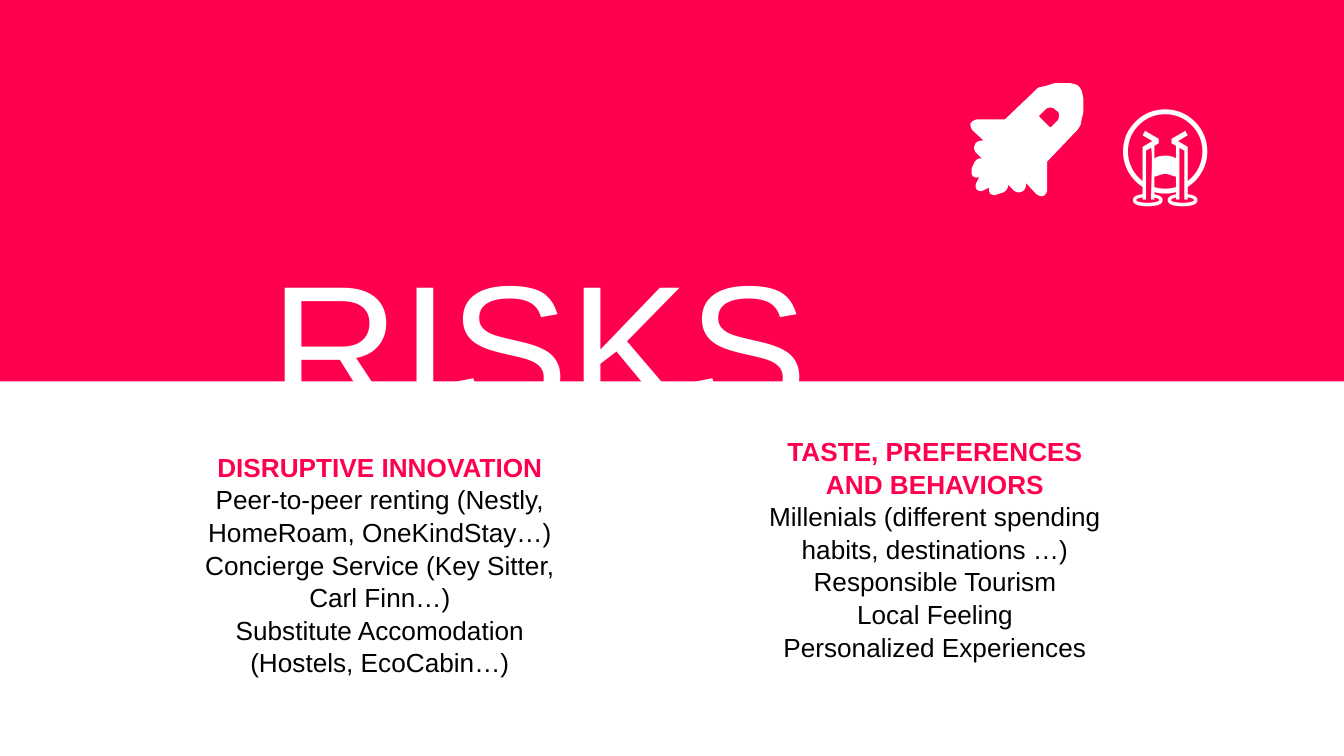
"""Build the RISKS slide: a red title band with icons above two text columns."""
from lxml.etree import SubElement
from pptx import Presentation
from pptx.dml.color import RGBColor
from pptx.enum.shapes import MSO_SHAPE
from pptx.enum.text import MSO_ANCHOR, MSO_AUTO_SIZE, PP_ALIGN
from pptx.oxml.ns import qn
from pptx.util import Cm, Pt

TITLE = "RISKS"
EMOJI = "😭"
COLUMNS = [
    {"box": (3.56, 8.38, 7.24, 5.05),
     "head": "DISRUPTIVE INNOVATION",
     "items": ["Peer-to-peer renting (Nestly, HomeRoam, OneKindStay…)",
               "Concierge Service (Key Sitter, Carl Finn…)",
               "Substitute Accomodation (Hostels, EcoCabin…)"]},
    {"box": (14.05, 8.08, 7.24, 5.64),
     "head": "TASTE, PREFERENCES AND BEHAVIORS",
     "items": ["Millenials (different spending habits, destinations …)",
               "Responsible Tourism", "Local Feeling",
               "Personalized Experiences"]},
]
THEME = {
    "red": RGBColor(0xFF, 0x00, 0x4E),
    "white": RGBColor(0xFF, 0xFF, 0xFF),
    "black": RGBColor(0x00, 0x00, 0x00),
    "title": Pt(96), "body": Pt(14), "emoji": Pt(54), "outline": Pt(4.5),
    "font": "Arial", "emoji_font": "Lato",
}
BOXES = {
    "band": (0, 0, 25.4, 7.21),
    "title": (0, 3.73, 20.4, 3.23),
    "emoji": (20.9, 1.47, 2.92, 2.57),
}

ROCKET_UNIT = Cm(2.54) / 100
HULL = [(776, 141), (776, 119), (797, 97), (799, 95), (801, 92), (802, 87),
        (803, 83), (803, 74), (802, 69), (801, 67), (800, 66), (796, 65),
        (785, 65), (779, 67), (774, 68), (771, 71), (749, 92), (727, 92),
        (725, 93), (726, 95), (737, 105), (735, 107), (729, 108), (728, 109),
        (728, 111), (757, 140), (759, 140), (760, 139), (761, 133), (763, 131),
        (773, 142), (775, 143), (776, 142)]
SLOT = [(752, 119), (750, 119), (749, 118), (749, 116), (760, 105), (761, 104),
        (763, 104), (764, 105), (764, 107), (763, 108)]
WINDOW = [(784, 97), (782, 98), (780, 98), (779, 97), (771, 89), (770, 87),
          (770, 85), (771, 84), (775, 80), (777, 78), (780, 77), (783, 77),
          (786, 78), (788, 80), (790, 81), (791, 84), (791, 88), (790, 91),
          (788, 93)]
FLAME = [(740, 128), (738, 127), (736, 127), (735, 128), (733, 130), (731, 134),
         (729, 138), (729, 139), (730, 139), (734, 137), (738, 135), (740, 133),
         (741, 131), (741, 129)]
SPARK = [(746, 135), (744, 134), (742, 134), (741, 135), (740, 137), (739, 139),
         (739, 142), (740, 142), (743, 141), (746, 140), (747, 138), (747, 136)]
SPARK_SHIFT = -13
ROCKET = [
    [HULL, SLOT, WINDOW],
    [FLAME],
    [SPARK],
    [[(x + SPARK_SHIFT, y + SPARK_SHIFT) for x, y in SPARK]],
]


def place(sp, box):
    for name, value in zip(("left", "top", "width", "height"), box):
        setattr(sp, name, Cm(value))


def paint(sp, color):
    sp.shadow.inherit = False
    sp.fill.solid()
    sp.fill.fore_color.rgb = color


def set_frame(tf, **formats):
    settings = {"word_wrap": True, "auto_size": MSO_AUTO_SIZE.NONE,
                "vertical_anchor": MSO_ANCHOR.TOP, **formats}
    for name, value in settings.items():
        setattr(tf, name, value)


def write(p, text, color, **formats):
    r = p.add_run()
    r.text = text
    r.font.color.rgb = color
    for name, value in formats.items():
        setattr(r.font, name, value)


def add_column(sp, column):
    place(sp, column["box"])
    tf = sp.text_frame
    set_frame(tf)
    for i, text in enumerate([column["head"], *column["items"]]):
        p = tf.add_paragraph() if i else tf.paragraphs[0]
        layout = {"alignment": PP_ALIGN.CENTER, "space_before": Pt(0),
                  "line_spacing": 1.04}
        for name, value in layout.items():
            setattr(p, name, value)
        pPr = p._p.get_or_add_pPr()
        pPr.set("marL", "0")
        pPr.set("indent", "0")
        SubElement(pPr, qn("a:buNone"))
        write(p, text, THEME["black" if i else "red"], bold=not i,
              size=THEME["body"], name=THEME["font"])


def add_rocket(s):
    group = s.shapes.add_group_shape()
    for contours in ROCKET:
        first, *others = contours
        builder = group.shapes.build_freeform(*first[0], scale=ROCKET_UNIT)
        builder.add_line_segments(first[1:], close=True)
        for points in others:
            builder.move_to(*points[0])
            builder.add_line_segments(points[1:], close=True)
        sp = builder.convert_to_shape()
        paint(sp, THEME["white"])
        sp.line.color.rgb = THEME["white"]
        sp.line.width = THEME["outline"]
        SubElement(sp.line._get_or_add_ln(), qn("a:round"))


def main():
    prs = Presentation()
    prs.slide_width, prs.slide_height = Cm(25.4), Cm(14.29)
    s = prs.slides.add_slide(prs.slide_layouts[3])
    title, *bodies = s.placeholders

    band = s.shapes.add_shape(MSO_SHAPE.RECTANGLE, *map(Cm, BOXES["band"]))
    paint(band, THEME["red"])
    band.line.fill.background()
    title.element.addprevious(band.element)

    place(title, BOXES["title"])
    set_frame(title.text_frame, margin_top=Cm(0.66))
    p = title.text_frame.paragraphs[0]
    p.alignment = PP_ALIGN.CENTER
    write(p, TITLE, THEME["white"], size=THEME["title"], name=THEME["font"])

    add_rocket(s)
    tf = s.shapes.add_textbox(*map(Cm, BOXES["emoji"])).text_frame
    set_frame(tf)
    write(tf.paragraphs[0], EMOJI, THEME["white"], size=THEME["emoji"],
          name=THEME["emoji_font"])

    for sp, column in zip(bodies, COLUMNS):
        add_column(sp, column)
    prs.save("out.pptx")


if __name__ == "__main__":
    main()
